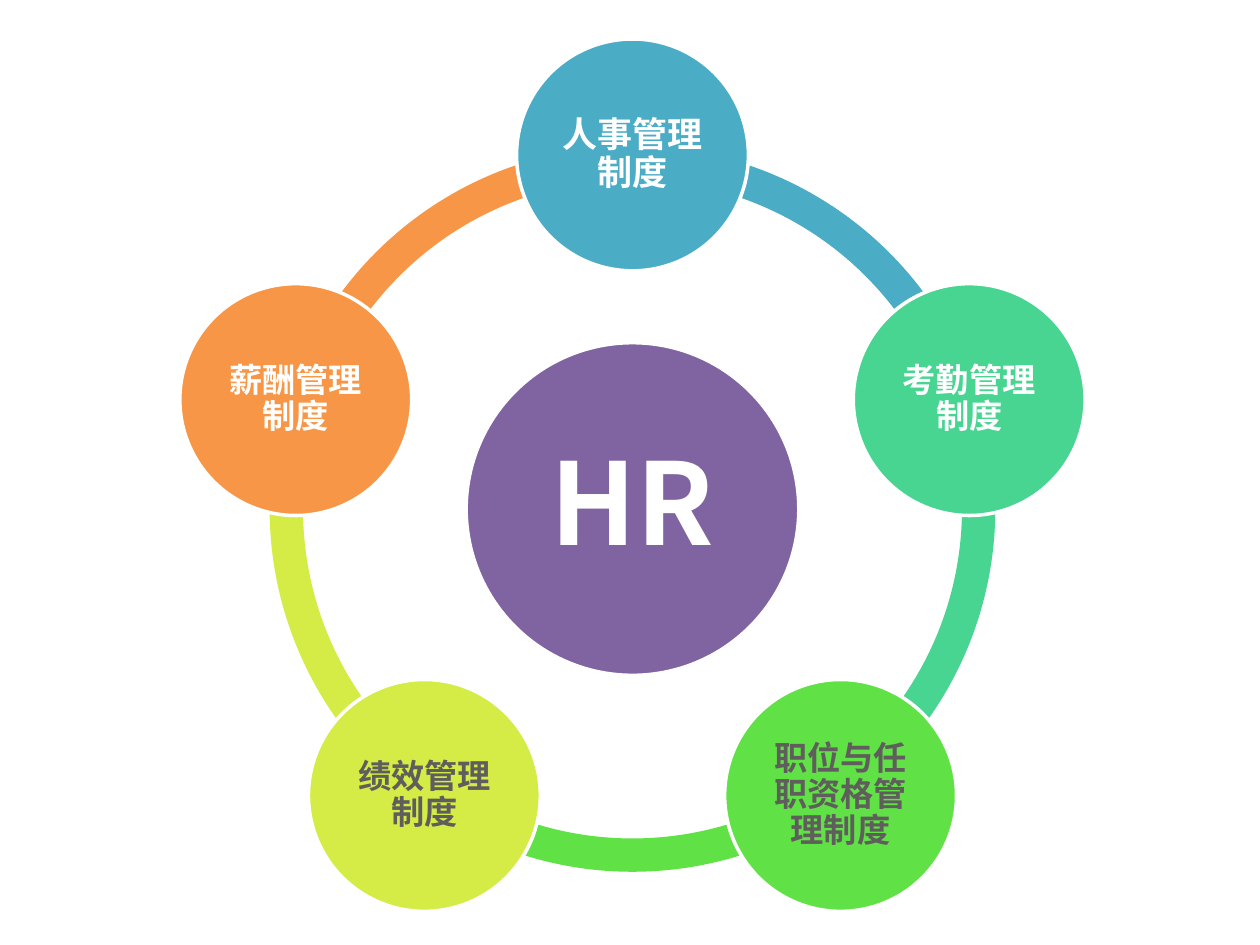
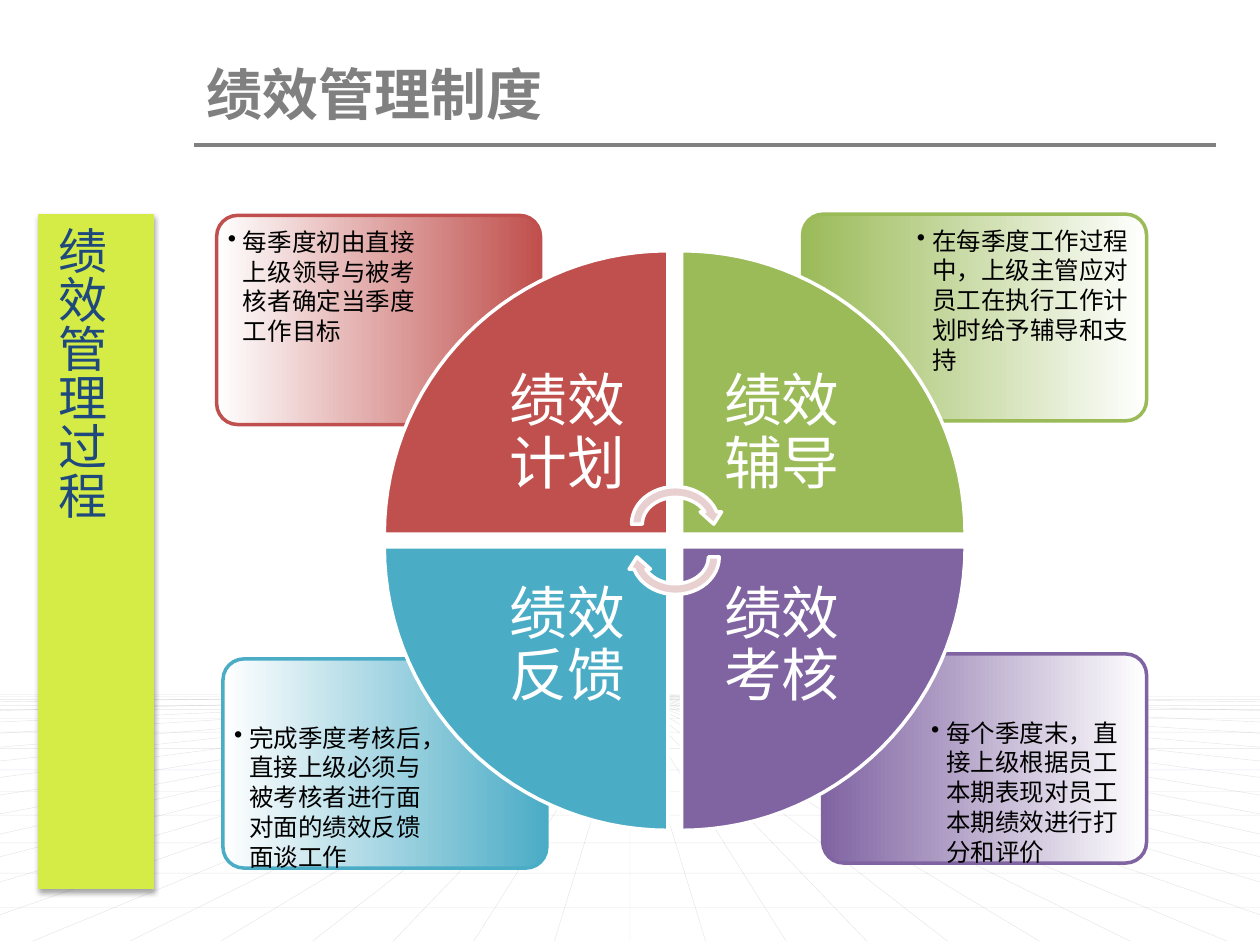
import math
from dataclasses import dataclass

from lxml import etree
from pptx import Presentation
from pptx import util as u
from pptx.dml.color import RGBColor
from pptx.enum import shapes, text
from pptx.oxml.ns import qn

Inches = u.Inches
Kind = shapes.MSO_SHAPE


@dataclass(frozen=True)
class Theme:
    face: str = "Noto Sans CJK SC"
    white: str = "FFFFFF"
    black: str = "000000"
    gray: str = "808080"
    ink: str = "5F5E5C"
    navy: str = "1F497D"
    blue: str = "4BACC6"
    teal: str = "48D491"
    green: str = "60E146"
    lime: str = "D5EC46"
    orange: str = "F79646"
    purple: str = "8064A2"
    red: str = "C0504D"
    olive: str = "9BBB59"
    pink: str = "E8D0D0"
    link: str = "0000FF"
    hub: int = 65
    quad: int = 33
    title: int = 32
    side: int = 28
    lead: int = 20
    node: int = 19
    note: int = 14


T = Theme()
CENTER = dict(alignment=text.PP_ALIGN.CENTER, line_spacing=0.9)
MIDDLE = text.MSO_ANCHOR.MIDDLE


def put(item, values):
    """Set each named attribute of item."""
    for name, value in values.items():
        setattr(item, name, value)


def inset(left, top, right, bottom):
    sides = zip(("left", "top", "right", "bottom"), (left, top, right, bottom))
    return {f"margin_{side}": Inches(gap) for side, gap in sides}


def fade(color, percent):
    """Set the opacity of a colour element."""
    etree.SubElement(color, qn("a:alpha"), val=str(percent * 1000))


class Deck:
    def __init__(self):
        self.show = Presentation()
        put(self.show, dict(slide_width=Inches(10), slide_height=Inches(7.5)))

    def page(self, layout):
        self.slide = self.show.slides.add_slide(self.show.slide_layouts[layout])

    def paint(self, shape, fill, line=None, width=2):
        """Fill with one colour, or left to right with a pair."""
        shape.shadow.inherit = False
        if isinstance(fill, tuple):
            shape.fill.gradient()
            shape.fill.gradient_angle = 0
            for stop, color in zip(shape.fill.gradient_stops, fill):
                stop.color.rgb = RGBColor.from_string(color)
        else:
            shape.fill.solid()
            shape.fill.fore_color.rgb = RGBColor.from_string(fill)
        if line:
            shape.line.color.rgb = RGBColor.from_string(line)
            shape.line.width = u.Pt(width)
        else:
            shape.line.fill.background()
        return shape

    def shape(self, kind, box, fill, line=None, width=2, adjust=()):
        shape = self.slide.shapes.add_shape(kind, *map(Inches, box))
        for i, value in enumerate(adjust):
            shape.adjustments[i] = value
        return self.paint(shape, fill, line, width)

    def label(self, shape, words, size, color, frame, para, bold=False):
        body = shape.text_frame
        put(body, {"word_wrap": True, **frame})
        line = body.paragraphs[0]
        put(line, para)
        run = line.add_run()
        run.text = words
        put(run.font, dict(size=u.Pt(size), bold=bold, name=T.face))
        run.font.color.rgb = RGBColor.from_string(color)
        etree.SubElement(run._r.get_or_add_rPr(), qn("a:ea"), typeface=T.face)
        return line

    def disc(self, x, y, radius, fill, words, size, color, gap):
        box = (x - radius, y - radius, 2 * radius, 2 * radius)
        shape = self.shape(Kind.OVAL, box, fill, T.white)
        frame = dict(vertical_anchor=MIDDLE, **inset(*[gap] * 4))
        self.label(shape, words, size, color, frame, CENTER, True)

    def line(self, start, end, color, width, alpha=None):
        ends = map(Inches, (*start, *end))
        line = self.slide.shapes.add_connector(shapes.MSO_CONNECTOR.STRAIGHT, *ends)
        line.line.color.rgb = RGBColor.from_string(color)
        line.line.width = u.Pt(width)
        props = line._element.spPr
        if alpha:
            fade(props.find(".//" + qn("a:srgbClr")), alpha)
        etree.SubElement(props, qn("a:effectLst"))

    def title(self, words, box):
        shape = self.slide.shapes.title
        put(shape, dict(zip(("left", "top", "width", "height"), map(Inches, box))))
        para = dict(alignment=text.PP_ALIGN.LEFT)
        self.label(shape, words, T.title, T.gray, dict(vertical_anchor=MIDDLE), para, True)

    def floor(self):
        """Draw the faint perspective grid."""
        eye, base = (5, 5.51), 7.47
        edge = (5.57, 5.64, 5.73, 5.82, 5.93, 6.04, 6.17, 6.31, 6.46, 6.62, 6.8, 7, 7.26)
        foot = (0.6, 1.24, 1.88, 2.52, 3.25, 3.97, 4.74)
        rays = [(5, y) for y in edge] + [(x, base) for x in foot]
        ends = [(5 + side * x, y) for side in (1, -1) for x, y in rays]
        for end in ends + [(5, base), (0, 5.51)]:
            self.line(eye, end, T.black, 0.25, 10)
        for y in (7.2, 6.93, 6.69, 6.47, 6.28, 6.11, 5.94, 5.81, 5.7, 5.63, 5.6, 5.55, 5.53):
            self.line((0, y), (10, y), T.link if y == 6.11 else T.black, 0.25, 10)

    def card(self, box, color, words, right, low):
        """Note card that fades away from the wheel."""
        wide, high = box[2:]
        fill = (color, T.white) if right else (T.white, color)
        shape = self.shape(Kind.ROUNDED_RECTANGLE, box, fill, color, adjust=[0.1])
        edge = 0.04
        near, deep = edge + 0.3 * wide, edge + 0.25 * high
        gaps = inset(near if right else edge, deep if low else edge,
                     edge if right else near, edge if low else deep)
        frame = dict(vertical_anchor=text.MSO_ANCHOR.TOP, **gaps)
        para = dict(alignment=text.PP_ALIGN.LEFT, line_spacing=u.Pt(17))
        line = self.label(shape, words, T.note, T.black, frame, para)
        props = line._p.get_or_add_pPr()
        props.set("marL", str(Inches(0.12)))
        props.set("indent", str(-Inches(0.12)))
        etree.SubElement(props, qn("a:buChar"), char="•")

    def wedge(self, color, words, right, low):
        """Quarter of the wheel."""
        x, y = 5.41 if right else 5.3, 4.34 if low else 4.24
        across, down = 1 if right else -1, 1 if low else -1
        turns = [math.radians(3 * i) for i in range(31)]
        rim = [(Inches(x + across * 2.25 * math.cos(a)),
                Inches(y + down * 2.25 * math.sin(a))) for a in turns]
        outline = self.slide.shapes.build_freeform(Inches(x), Inches(y))
        outline.add_line_segments(rim, close=True)
        shape = self.paint(outline.convert_to_shape(), color, T.white)
        far, near = 0.92, 0.26
        gaps = inset(near if right else far, near if low else far,
                     far if right else near, far if low else near)
        self.label(shape, words, T.quad, T.white, dict(vertical_anchor=MIDDLE, **gaps), CENTER)

    def banner(self, box, words):
        """Upright side label with a soft shadow."""
        shape = self.shape(Kind.RECTANGLE, box, T.lime, T.lime, 0.75)
        para = dict(alignment=text.PP_ALIGN.LEFT, line_spacing=1.5)
        frame = dict(vertical_anchor=MIDDLE, word_wrap=False)
        self.label(shape, words, T.side, T.navy, frame, para)
        shape.text_frame._txBody.bodyPr.set("vert", "eaVert")
        glow = etree.SubElement(
            shape._element.spPr.find(qn("a:effectLst")), qn("a:outerShdw"),
            blurRad=str(u.Pt(3.1)), dist=str(u.Pt(1.8)), dir="5400000", rotWithShape="0")
        fade(etree.SubElement(glow, qn("a:srgbClr"), val=T.black), 35)


def ring(deck):
    """Five systems around the HR hub."""
    deck.page(6)
    x, y = 5.02, 4.04
    nodes = [("人事管理制度", T.blue, T.white, T.lead),
             ("考勤管理制度", T.teal, T.white, T.node),
             ("职位与任职资格管理制度", T.green, T.ink, T.node),
             ("绩效管理制度", T.lime, T.ink, T.node),
             ("薪酬管理制度", T.orange, T.white, T.node)]
    step = 360 / len(nodes)
    for i, node in reversed(list(enumerate(nodes))):
        start = (270 + step * i) % 360
        turn = [0.6 * start, 0.6 * ((start + step) % 360), 0.046]
        deck.shape(Kind.BLOCK_ARC, (x - 2.88, y - 2.88, 5.76, 5.76), node[1], adjust=turn)
    deck.disc(x, y, 1.32, T.purple, "HR", T.hub, T.white, 0.09)
    for i, (words, fill, color, size) in enumerate(nodes):
        angle = math.radians(270 + step * i)
        deck.disc(x + 2.81 * math.cos(angle), y + 2.81 * math.sin(angle), 0.92,
                  fill, words, size, color, 0.03)


def wheel(deck):
    """Four stages of the performance cycle."""
    deck.page(5)
    deck.floor()
    stages = [
        ((6.53, 5.19, 2.57, 1.66), T.purple, "绩效考核",
         "每个季度末，直接上级根据员工本期表现对员工本期绩效进行打分和评价", True, True),
        ((1.77, 5.23, 2.57, 1.66), T.blue, "绩效反馈",
         "完成季度考核后，直接上级必须与被考核者进行面对面的绩效反馈面谈工作", False, True),
        ((6.37, 1.7, 2.73, 1.64), T.olive, "绩效辅导",
         "在每季度工作过程中，上级主管应对员工在执行工作计划时给予辅导和支持", True, False),
        ((1.72, 1.71, 2.57, 1.66), T.red, "绩效计划",
         "每季度初由直接上级领导与被考核者确定当季度工作目标", False, False)]
    for box, color, name, note, right, low in stages:
        deck.card(box, color, note, right, low)
    for box, color, name, note, right, low in stages:
        deck.wedge(color, name, right, low)
    for top, turn in ((3.82, 0), (4.08, 180)):
        arrow = deck.shape(Kind.CIRCULAR_ARROW, (4.97, top, 0.78, 0.68), T.pink, T.white)
        arrow.rotation = turn
    deck.title("绩效管理制度", (1.54, 0.42, 8.11, 0.64))
    deck.line((1.54, 1.15), (9.65, 1.15), T.gray, 2.25)
    deck.banner((0.31, 1.7, 0.91, 5.35), "绩效管理过程")


def main():
    deck = Deck()
    ring(deck)
    wheel(deck)
    deck.show.save("out.pptx")


if __name__ == "__main__":
    main()
